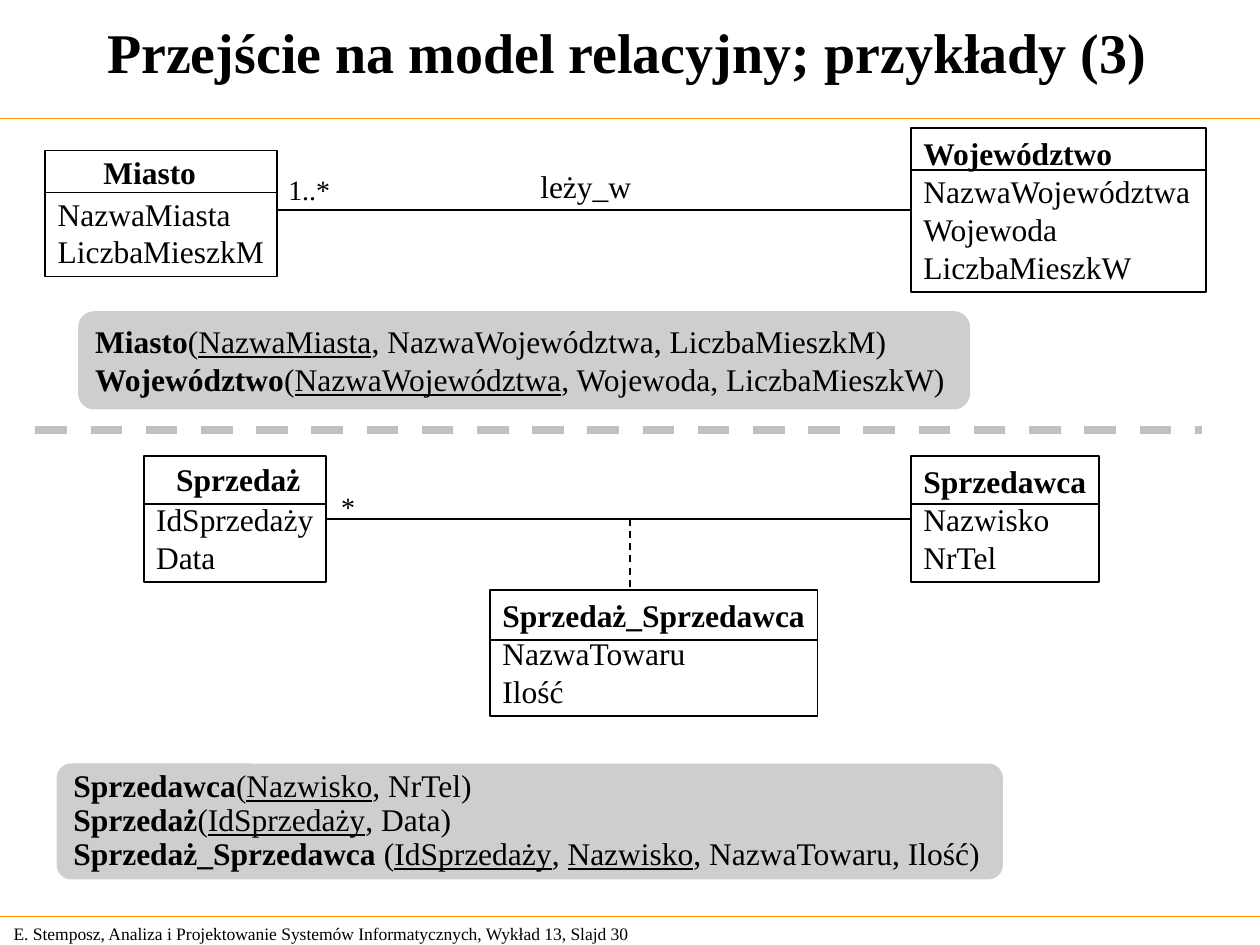
from pptx import Presentation
from pptx import util as u
from pptx.dml.color import RGBColor
from pptx.enum import dml, shapes, text
from pptx.oxml.ns import qn
from lxml import etree

FONT = "Times New Roman"
COLORS = {"ink": "000000", "rule": "FF9900", "panel": "CECECE", "divider": "C0C0C0"}
TOP, MIDDLE, BOTTOM = (text.MSO_ANCHOR.TOP, text.MSO_ANCHOR.MIDDLE, text.MSO_ANCHOR.BOTTOM)
RIGHT_SIDE, LEFT_SIDE = 3, 1


def rgb(name):
    return RGBColor.from_string(COLORS[name])


def pts(*values):
    return [u.Pt(v) for v in values]


def write(sp, lines, size=18, anchor=TOP, align=text.PP_ALIGN.LEFT, spacing=None):
    tf = sp.text_frame
    tf.word_wrap = False
    tf.vertical_anchor = anchor
    for i, runs in enumerate(lines):
        p = tf.paragraphs[0] if i == 0 else tf.add_paragraph()
        p.alignment = align
        if spacing:
            p.line_spacing = spacing
        p.font.name = FONT
        p.font.size = u.Pt(size)
        p.font.color.rgb = rgb("ink")
        styles = {style for _, style in runs}
        if styles == {"b"}:
            p.font.bold = True
        for content, style in runs:
            r = p.add_run()
            r.text = content
            if len(styles) > 1:
                r.font.bold = style == "b"
                r.font.underline = style == "u"


def add_label(s, box, content, size=18, style="", **options):
    write(s.shapes.add_textbox(*pts(*box)), [[(content, style)]], size, **options)


def add_line(s, start, end, color="ink", width=1, dashed=False):
    line = s.shapes.add_connector(shapes.MSO_CONNECTOR.STRAIGHT, *pts(*start, *end))
    line.line.color.rgb = rgb(color)
    line.line.width = u.Pt(width)
    if dashed:
        line.line.dash_style = dml.MSO_LINE.DASH
    etree.SubElement(line._element.spPr, qn("a:effectLst"))
    return line


def add_class(s, box, divider_y, name, attributes, name_box=None):
    x, y, w, h = box
    sp = s.shapes.add_shape(shapes.MSO_SHAPE.RECTANGLE, *pts(*box))
    sp.shadow.inherit = False
    sp.fill.background()
    sp.line.color.rgb = rgb("ink")
    sp.line.width = u.Pt(1)
    lines = [[(attribute, "")] for attribute in attributes]
    if name_box:
        write(sp, lines, anchor=BOTTOM)
        add_label(s, name_box, name, style="b")
    else:
        write(sp, [[(name, "b")]] + lines)
    add_line(s, (x, divider_y), (x + w, divider_y))
    return sp


def add_schema(s, box, corner, lines, **options):
    sp = s.shapes.add_shape(shapes.MSO_SHAPE.ROUNDED_RECTANGLE, *pts(*box))
    sp.adjustments[0] = corner
    sp.shadow.inherit = False
    sp.fill.solid()
    sp.fill.fore_color.rgb = rgb("panel")
    sp.line.fill.background()
    write(sp, lines, **options)


def add_frame(s):
    for y in (67.9, 523.9):
        add_line(s, (0, y), (720, y), "rule", 0.75)
    add_label(s, (0, -1.5, 717, 61), "Przejście na model relacyjny; przykłady (3)", 32, "b",
              anchor=MIDDLE, align=text.PP_ALIGN.CENTER)
    add_label(s, (0.7, 524, 385, 19.4),
              "E. Stemposz, Analiza i Projektowanie Systemów Informatycznych, Wykład 13, Slajd 30",
              10, anchor=MIDDLE)


def add_city_example(s):
    add_class(s, (25.9, 86, 132.5, 72), 110, "Miasto",
              ["NazwaMiasta", "LiczbaMieszkM"], (52, 83.7, 80, 29))
    region = add_class(s, (520.6, 73.2, 168.5, 93.8), 97, "Województwo",
                       ["NazwaWojewództwa", "Wojewoda", "LiczbaMieszkW"])
    link = add_line(s, (158.4, 120.1), (520.6, 120.1))
    link.end_connect(region, LEFT_SIDE)
    add_label(s, (301.7, 92, 75, 29), "leży_w")
    add_label(s, (157.7, 95, 45, 26.6), "1..*", 16)
    add_schema(s, (44.6, 177.8, 509.8, 56.2), 0.167, [
        [("Miasto", "b"), ("(", ""), ("NazwaMiasta", "u"),
         (", NazwaWojewództwa, LiczbaMieszkM)", "")],
        [("Województwo", "b"), ("(", ""), ("NazwaWojewództwa", "u"),
         (", Wojewoda, LiczbaMieszkW)", "")],
    ])


def add_sale_example(s):
    sale = add_class(s, (82.1, 260.6, 104.4, 72), 288, "Sprzedaż",
                     ["IdSprzedaży", "Data"], (93.6, 259.2, 100, 29))
    seller = add_class(s, (520.6, 260.6, 107.3, 72), 288, "Sprzedawca", ["Nazwisko", "NrTel"])
    add_class(s, (280, 337, 187.2, 72), 365.8, "Sprzedaż_Sprzedawca", ["NazwaTowaru", "Ilość"])
    link = add_line(s, (186.5, 296.6), (520.6, 296.6))
    link.begin_connect(sale, RIGHT_SIDE)
    link.end_connect(seller, LEFT_SIDE)
    add_line(s, (360, 296.6), (360, 337), dashed=True)
    add_label(s, (187.9, 276.5, 30, 26.6), "*", 16)
    add_schema(s, (32.4, 436.3, 540.7, 66.2), 0.125, [
        [("Sprzedawca", "b"), ("(", ""), ("Nazwisko", "u"), (", NrTel)", "")],
        [("Sprzedaż", "b"), ("(", ""), ("IdSprzedaży", "u"), (", Data)", "")],
        [("Sprzedaż_Sprzedawca ", "b"), ("(", ""), ("IdSprzedaży", "u"), (", ", ""),
         ("Nazwisko", "u"), (", NazwaTowaru, Ilość)", "")],
    ], anchor=MIDDLE, spacing=0.9)


def main():
    prs = Presentation()
    prs.slide_width, prs.slide_height = pts(720, 540)
    s = prs.slides.add_slide(prs.slide_layouts[6])
    add_frame(s)
    add_city_example(s)
    add_line(s, (20.2, 245.5), (686.9, 245.5), "divider", 4.5, dashed=True)
    add_sale_example(s)
    prs.save("out.pptx")


if __name__ == "__main__":
    main()
